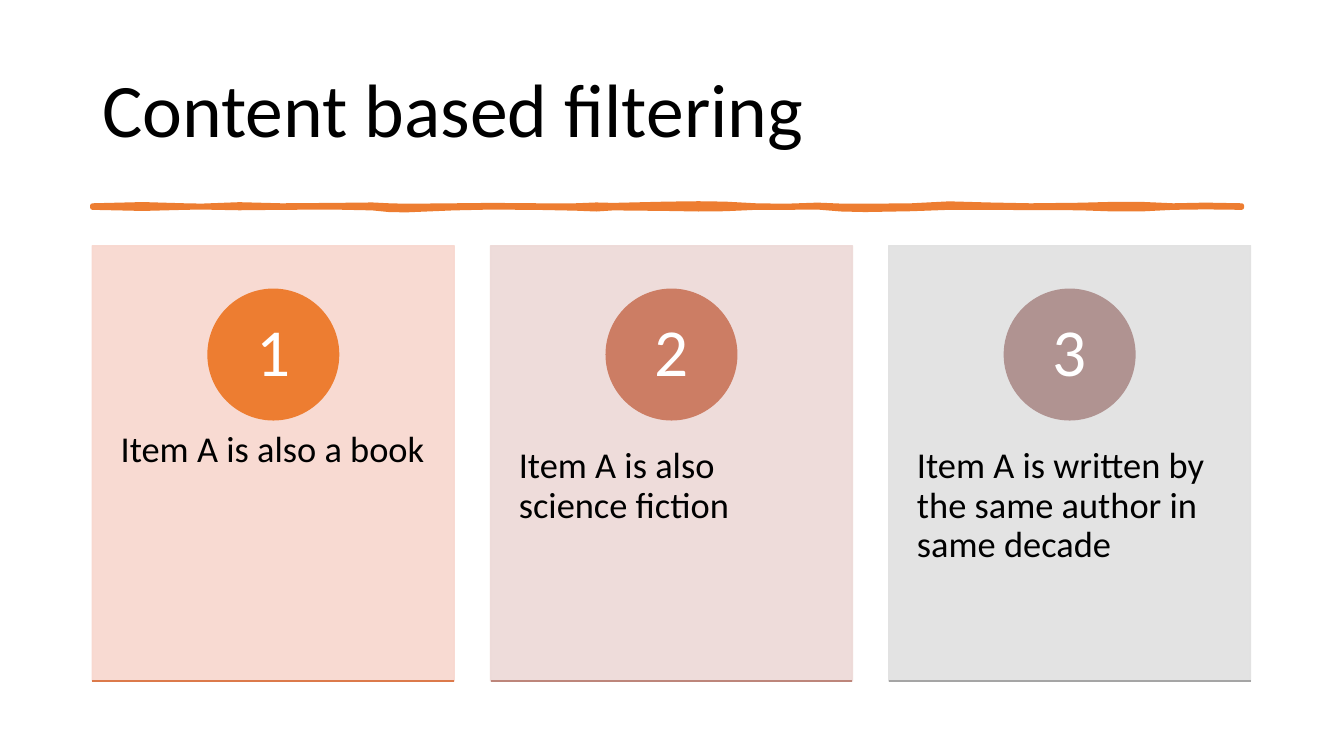
from lxml import etree
from pptx import Presentation
from pptx.dml.color import RGBColor
from pptx.enum.shapes import MSO_CONNECTOR, MSO_SHAPE
from pptx.enum.text import MSO_ANCHOR, PP_ALIGN
from pptx.oxml.ns import qn
from pptx.util import Pt

RECT, OVAL = MSO_SHAPE.RECTANGLE, MSO_SHAPE.OVAL
STRAIGHT = MSO_CONNECTOR.STRAIGHT
TOP, MIDDLE = MSO_ANCHOR.TOP, MSO_ANCHOR.MIDDLE
LEFT, CENTER = PP_ALIGN.LEFT, PP_ALIGN.CENTER

FONT = "Calibri"
BLACK = RGBColor(0x00, 0x00, 0x00)
WHITE = RGBColor(0xFF, 0xFF, 0xFF)
ORANGE = RGBColor(0xED, 0x7D, 0x31)

# wording, card tint, circle colour, base line colour
CARDS = [
    ("Item A is also a book",
     RGBColor(0xF8, 0xD7, 0xCE), ORANGE, RGBColor(0xDC, 0x7A, 0x4B)),
    ("Item A is also science fiction",
     RGBColor(0xED, 0xD9, 0xD7), RGBColor(0xCC, 0x7D, 0x64),
     RGBColor(0xBD, 0x86, 0x7B)),
    ("Item A is written by the same author in same decade",
     RGBColor(0xE1, 0xE1, 0xE1), RGBColor(0xB0, 0x93, 0x91),
     RGBColor(0xA5, 0xA5, 0xA5)),
]
CARD_W, CARD_H, PITCH = 258.5, 311, 284.4

# x, upper edge and lower edge of the brush stroke, from its left end
STROKE = [
    (0, 0, 1.4), (36, -0.9, 2.2), (66, 0, 1.4), (78, 0.2, 1.2),
    (105, -0.8, 1.7), (135, 0, 1.4), (172, -0.3, 1.2), (200, -0.6, 1.8),
    (212, 0, 3), (224, 0.3, 3.2), (258, 0, 1.8), (285, -0.3, 1.2),
    (320, 0, 1.5), (345, 0, 2), (360, -0.6, 2.6), (372, -0.3, 1.8),
    (410, -1.2, 2.2), (433, -1.5, 2.6), (452, -1.2, 2.4), (474, 0, 1.4),
    (495, 0.3, 1.4), (518, -0.5, 1.2), (535, 0.2, 2.6), (552, 0.3, 3),
    (585, 0, 2.4), (612, -1.4, 1.4), (640, -0.6, 1.4), (670, 0, 1.6),
    (705, -0.4, 1.7), (728, -1, 2.5), (750, -1, 2.5), (772, 0, 1.4),
    (795, -0.5, 1.1), (821, 0, 1.4),
]


def paint(shape, color, weight, alpha=None):
    """Give fill and line one colour; alpha is a percentage."""
    shape.shadow.inherit = False
    shape.fill.solid()
    shape.fill.fore_color.rgb = color
    shape.line.color.rgb = color
    shape.line.width = Pt(weight)
    if alpha:
        for tint in shape._element.spPr.iter(qn("a:srgbClr")):
            etree.SubElement(tint, qn("a:alpha"), val=str(alpha * 1000))


def write(shape, text, size, color, anchor, align, side, edge):
    """Set the text, with insets side (left, right) and edge (top, bottom)."""
    frame = shape.text_frame
    frame.word_wrap = True
    frame.vertical_anchor = anchor
    frame.margin_left = frame.margin_right = Pt(side)
    frame.margin_top = frame.margin_bottom = Pt(edge)
    para = frame.paragraphs[0]
    para.text = text
    para.alignment = align
    para.line_spacing = 0.9
    para.font.name, para.font.size = FONT, Pt(size)
    para.font.color.rgb = color


def add_title(slide, left, top, width, height):
    box = slide.shapes.add_textbox(Pt(left), Pt(top), Pt(width), Pt(height))
    write(box, "Content based filtering", 54, BLACK, MIDDLE, LEFT, 7.2, 3.6)


def add_stroke(slide, left, top):
    upper = [(x, high) for x, high, low in STROKE]
    lower = [(x, low) for x, high, low in reversed(STROKE)]
    first, *rest = [(Pt(left + x), Pt(top + y)) for x, y in upper + lower]
    pen = slide.shapes.build_freeform(*first)
    pen.add_line_segments(rest, close=True)
    paint(pen.convert_to_shape(), ORANGE, 3.25)


def add_card(slide, left, top, width, height, number, card):
    text, tint, accent, base = card
    shapes = slide.shapes
    panel = shapes.add_shape(RECT, Pt(left), Pt(top), Pt(width), Pt(height))
    paint(panel, tint, 1, 90)

    body = shapes.add_textbox(Pt(left), Pt(top + 0.38 * height),
                              Pt(width), Pt(0.6 * height))
    write(body, text, 26, BLACK, TOP, LEFT, 20.2, 25.9)

    size = 0.3 * height
    disc = shapes.add_shape(OVAL, Pt(left + (width - size) / 2),
                            Pt(top + 0.1 * height), Pt(size), Pt(size))
    paint(disc, accent, 1)
    write(disc, str(number), 48, WHITE, MIDDLE, CENTER, 7.2, 0.7)

    foot = Pt(top + height)
    rule = shapes.add_connector(STRAIGHT, Pt(left), foot,
                                Pt(left + width), foot)
    rule.line.color.rgb = base
    rule.line.width = Pt(1)
    etree.SubElement(rule._element.spPr, qn("a:effectLst"))


def main():
    deck = Presentation()
    deck.slide_width, deck.slide_height = Pt(960), Pt(540)
    slide = deck.slides.add_slide(deck.slide_layouts[6])
    add_title(slide, 66, 28.75, 828, 104.4)
    add_stroke(slide, 66, 146.9)
    for i, card in enumerate(CARDS):
        add_card(slide, 66 + i * PITCH, 175.5, CARD_W, CARD_H, i + 1, card)
    deck.save("out.pptx")


if __name__ == "__main__":
    main()
